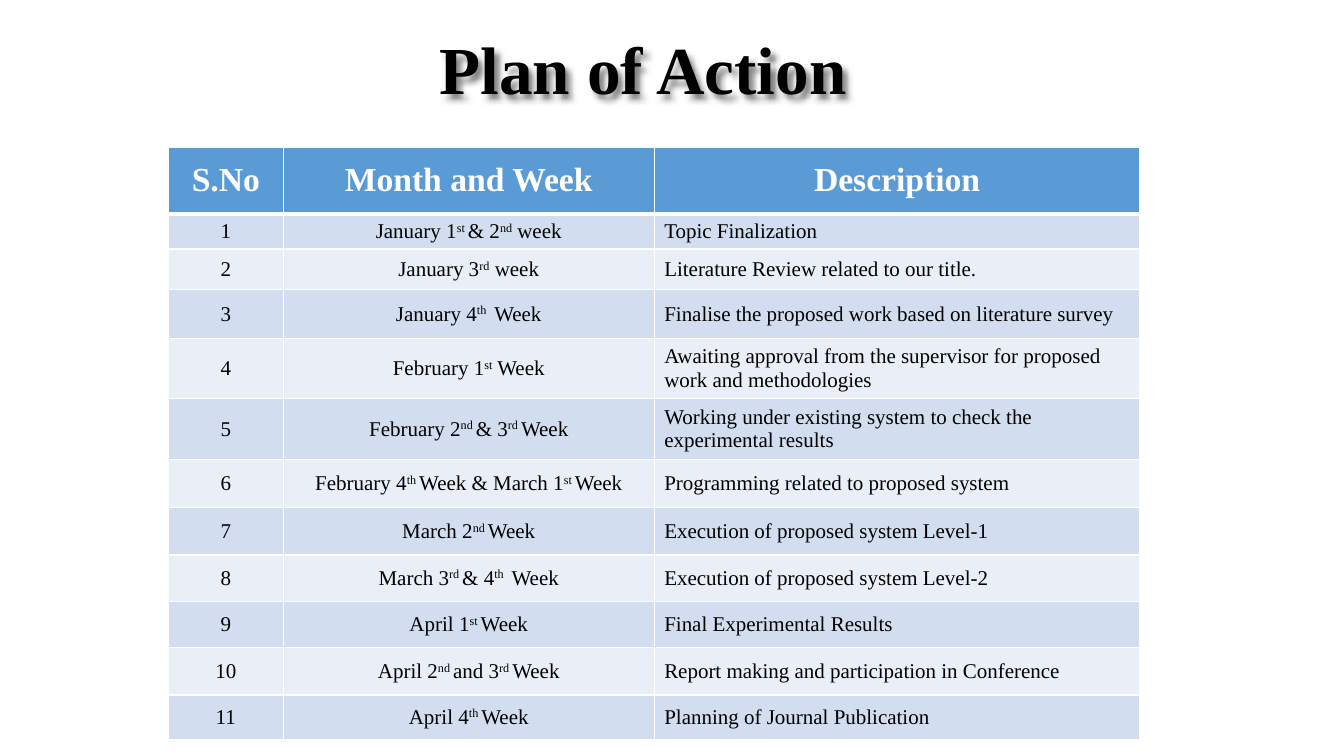
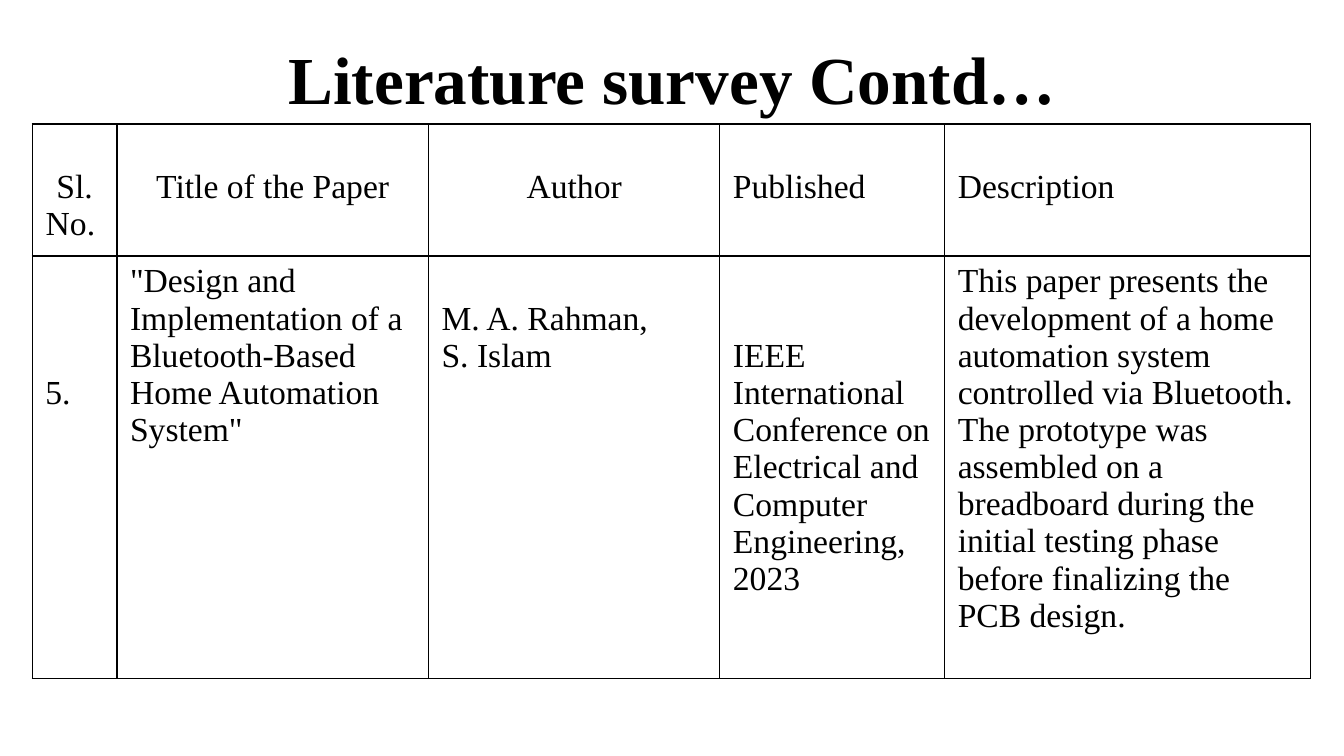
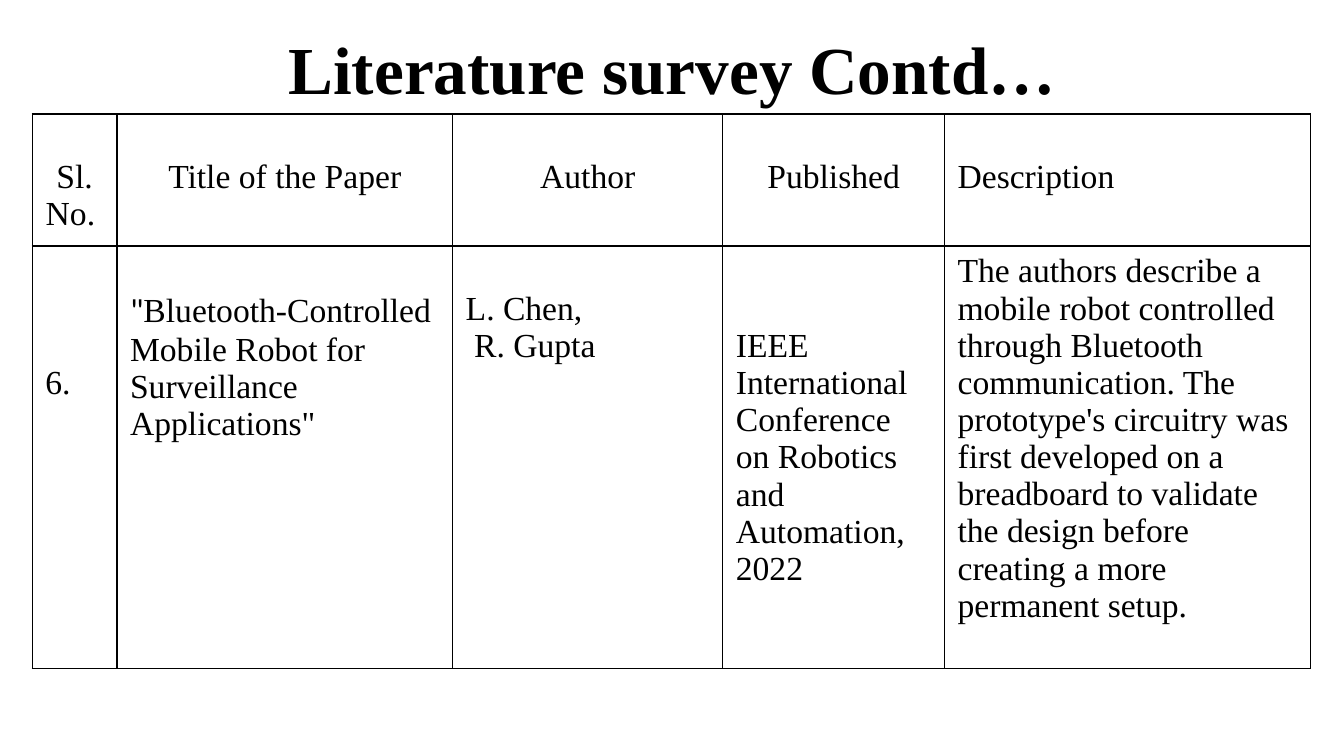
from lxml import etree
from pptx import Presentation
from pptx import util as u
from pptx.dml.color import RGBColor
from pptx.enum import text
from pptx.oxml.ns import qn

MID = text.PP_ALIGN.CENTER
LEFT = text.PP_ALIGN.LEFT


def paint(color):
    return RGBColor.from_string(color)


class Deck:
    face = "Times New Roman"
    ink = "000000"
    white = "FFFFFF"
    head = "5B9BD5"
    bands = ("D2DEEF", "EAEFF7")
    line = 0.37

    def __init__(self):
        self.prs = Presentation()
        self.prs.slide_width = u.Inches(13.33)
        self.prs.slide_height = u.Inches(7.5)
        self.slide = None

    def across(self, share):
        return round(self.prs.slide_width * share / 100)

    def down(self, share):
        return round(self.prs.slide_height * share / 100)

    def page(self):
        self.slide = self.prs.slides.add_slide(self.prs.slide_layouts[6])

    def words(self, para, parts, size, color, bold=False):
        if isinstance(parts, str):
            parts = [(parts, self.face)]
        for part, face in parts:
            for spot, bit in enumerate(part.split("^")):
                if not bit:
                    continue
                run = para.add_run()
                run.text = bit
                font = run.font
                font.name, font.size, font.bold = face, u.Pt(size), bold
                font.color.rgb = paint(color)
                if spot % 2:
                    run._r.get_or_add_rPr().set("baseline", "30000")

    def title(self, words, left, top, shade=False):
        box = self.slide.shapes.add_textbox(
            self.across(left), self.down(top), self.across(86.27), self.down(19.33))
        frame = box.text_frame
        frame.word_wrap = True
        frame.vertical_anchor = text.MSO_ANCHOR.MIDDLE
        para = frame.paragraphs[0]
        para.alignment, para.line_spacing = MID, 0.9
        self.words(para, words, 48, self.ink, True)
        if shade:
            self.shade(box)

    def shade(self, box):
        fx = etree.SubElement(box._element.spPr, qn("a:effectLst"))
        cast = etree.SubElement(fx, qn("a:outerShdw"), blurRad="50800",
                                dist="50800", dir="2700000", algn="tl", rotWithShape="0")
        tone = etree.SubElement(cast, qn("a:srgbClr"), val=self.ink)
        etree.SubElement(tone, qn("a:alpha"), val="50000")

    def table(self, left, top, cols, rows):
        grid = self.slide.shapes.add_table(
            len(rows), len(cols), self.across(left), self.down(top),
            self.across(sum(cols)), self.down(sum(rows))).table
        for col, share in zip(grid.columns, cols):
            col.width = self.across(share)
        for row, share in zip(grid.rows, rows):
            row.height = self.down(share)
        return grid

    def cell(self, cell, lines, size, color, fill, align=LEFT, bold=False):
        cell.fill.solid()
        cell.fill.fore_color.rgb = paint(fill)
        frame = cell.text_frame
        for spot, line in enumerate(lines):
            para = frame.add_paragraph() if spot else frame.paragraphs[0]
            para.alignment = align
            self.words(para, line, size, color, bold)

    def edge(self, cell, color, top=1, base=1):
        props = cell._tc.get_or_add_tcPr()
        sides = (("L", 1), ("R", 1), ("T", top), ("B", base))
        for spot, (side, wide) in enumerate(sides):
            rule = etree.Element(qn("a:ln" + side), w=str(u.Pt(wide)))
            fill = etree.SubElement(rule, qn("a:solidFill"))
            etree.SubElement(fill, qn("a:srgbClr"), val=color)
            props.insert(spot, rule)

    def plan(self, heads, tasks, cols, rows):
        grid = self.table(12.53, 19.47, cols, rows)
        items = [heads] + [(str(n), *task) for n, task in enumerate(tasks, 1)]
        for r, item in enumerate(items):
            for c, words in enumerate(item):
                cell = grid.cell(r, c)
                cell.vertical_anchor = text.MSO_ANCHOR.MIDDLE
                if r == 0:
                    self.cell(cell, [words], 24, self.white, self.head, MID, True)
                else:
                    self.cell(cell, [words], 15, self.ink, self.bands[(r - 1) % 2],
                              LEFT if c == 2 else MID)
                self.edge(cell, self.white, 3 if r == 1 else 1, 3 if r == 0 else 1)

    def survey(self, top, cols, rows, mids, drops, paper):
        grid = self.table(2.4, top, cols, rows)
        heads = ("Sl. No. ", "Title of the Paper", "Author", "Published", "Description")
        for c, head in enumerate(heads):
            align = MID if c < mids else LEFT
            for r, lines, drop, side in ((0, [head], 1, align), (1, paper[c], drops[c], LEFT)):
                cell = grid.cell(r, c)
                cell.margin_left = cell.margin_right = u.Inches(0.13)
                cell.margin_top = u.Inches(0.07 + drop * self.line)
                cell.margin_bottom = u.Inches(0.07)
                self.cell(cell, lines, 24, self.ink, self.white, side)
                self.edge(cell, self.ink)


def main():
    deck = Deck()

    deck.page()
    deck.title("Plan of Action", 4.73, 0, True)
    deck.plan(
        ("S.No", "Month and Week", "Description"),
        [
            ("January 1^st ^& 2^nd^ week", "Topic Finalization"),
            ("January 3^rd^ week", "Literature Review related to our title."),
            ("January 4^th ^ Week", "Finalise the proposed work based on literature survey"),
            ("February 1^st^ Week",
             "Awaiting approval from the supervisor for proposed work and methodologies"),
            ("February 2^nd ^& 3^rd ^Week",
             "Working under existing system to check the experimental results"),
            ("February 4^th ^Week & March 1^st ^Week", "Programming related to proposed system"),
            ("March 2^nd ^Week", "Execution of proposed system Level-1"),
            ("March 3^rd ^& 4^th ^ Week", "Execution of proposed system Level-2"),
            ("April 1^st ^Week", "Final Experimental Results"),
            ("April 2^nd ^and 3^rd ^Week", "Report making and participation in Conference"),
            ("April 4^th ^Week", "Planning of Journal Publication"),
        ],
        (8.55, 27.6, 36.15),
        (8.8, 4.4, 5.4, 6.4, 7.5, 7.5, 6.4, 6.27, 6.13, 6.13, 6.27, 5.87))

    topic = "Literature survey Contd…"
    deck.page()
    deck.title(topic, 6.9, 1.33)
    deck.survey(
        16.4, (6.3, 23.18, 21.68, 16.73, 27.23), (16.53, 55.87), 3, (3, 0, 1, 2, 0),
        (["5."],
         ['"Design and Implementation of a Bluetooth-Based Home Automation System"'],
         ["M. A. Rahman,", "S. Islam"],
         ["IEEE International Conference on Electrical and Computer Engineering, 2023"],
         ["This paper presents the development of a home automation system controlled "
          "via Bluetooth. The prototype was assembled on a breadboard during the initial "
          "testing phase before finalizing the PCB design."]))

    deck.page()
    deck.title(topic, 6.9, 0)
    deck.survey(
        15.07, (6.3, 24.98, 20.1, 16.5, 27.23), (17.47, 55.87), 4, (3, 1, 1, 2, 0),
        (["6."],
         [[('"', "Calibri"),
           ('Bluetooth-Controlled Mobile Robot for Surveillance Applications"', deck.face)]],
         ["L. Chen,", " R. Gupta"],
         ["IEEE International Conference on Robotics and Automation, 2022"],
         ["The authors describe a mobile robot controlled through Bluetooth communication. "
          "The prototype's circuitry was first developed on a breadboard to validate the "
          "design before creating a more permanent setup."]))

    deck.prs.save("out.pptx")


if __name__ == "__main__":
    main()
